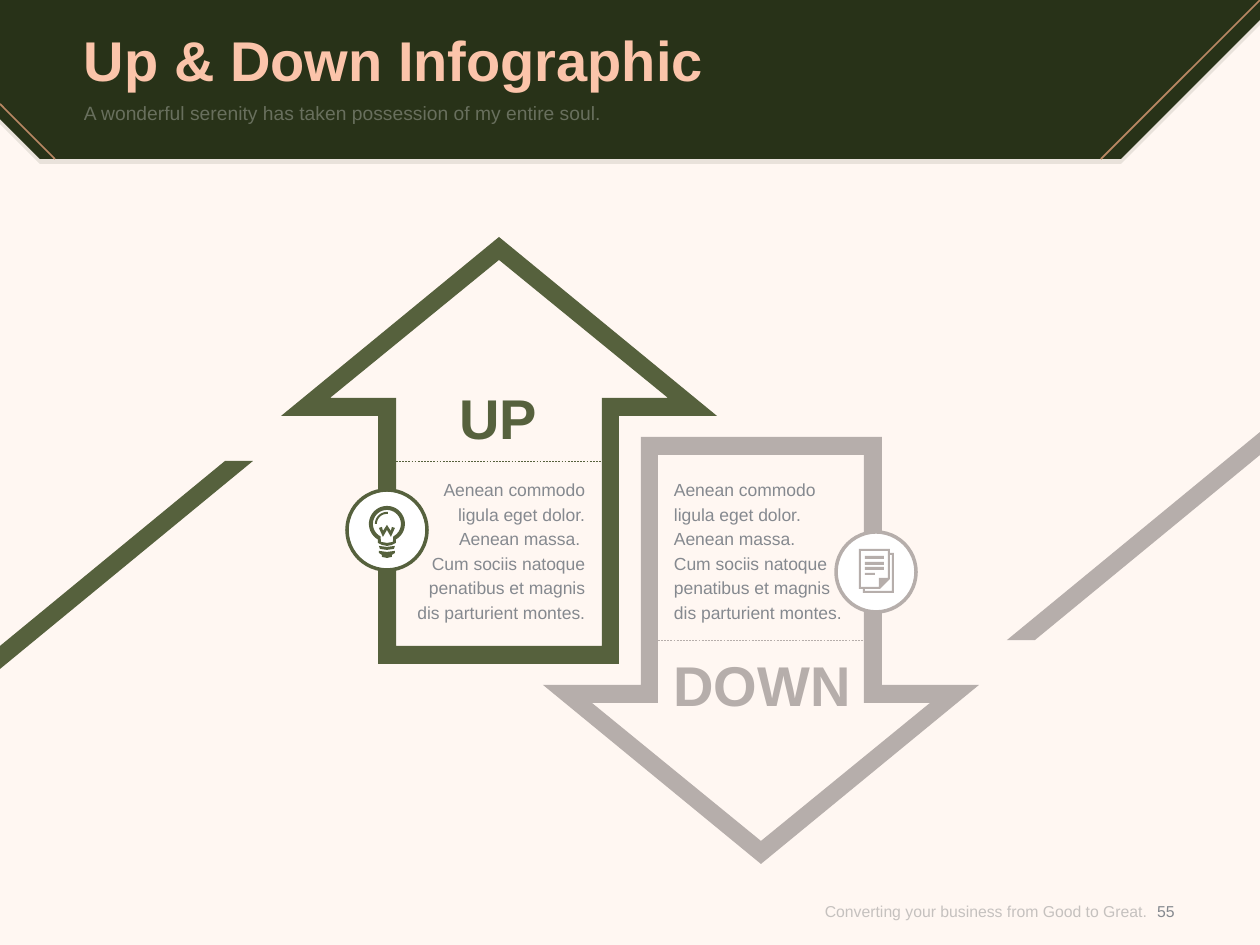
import math
from pptx import Presentation, util as u
from pptx.dml.color import RGBColor
from pptx.enum import dml, shapes, text
from pptx.oxml.ns import qn
from lxml import etree

PX = 914400 / 126
C = {"bg": "FFF7F2", "dark": "283218", "up": "56613D", "down": "B6AEAB",
     "peach": "FBC4AA", "copper": "B98763", "white": "FFFFFF",
     "body": "85898F", "footer": "8C8C8C"}
AL = text.PP_ALIGN


def arc(cx, cy, r, start, end, n=32):
    turns = [math.radians(start + (end - start) * i / n) for i in range(n + 1)]
    return [(cx + r * math.cos(a), cy + r * math.sin(a)) for a in turns]


def bar(x, y, w, h):
    return [(x, y), (x + w, y), (x + w, y + h), (x, y + h)]


HEADER = [(0, 0), (1260, 0), (1260, 20), (1121, 159), (40, 159), (0, 119)]
ARROW_W, ARROW_H = 436, 427
ARROW = [
    [(338, 427), (97, 427), (97, 179), (0, 179), (218, 0), (436, 179), (338, 179)],
    [(115, 409), (321, 409), (321, 161), (387, 161), (218, 23), (49, 161), (115, 161)],
]
TAIL_W, TAIL_H = 253, 208
TAIL = [[(253, 0), (0, 208), (0, 185), (225, 0)]]
BULB = [
    arc(18, 17, 18, 60, -240) + [(9, 36), (13, 38), (18, 39), (23, 38), (27, 36)],
    arc(18, 17, 14, 63, -243) + [(12, 35), (18, 36), (24, 35)],
    arc(18, 17, 12, 180, 275) + arc(18, 17, 10, 275, 180),
    [(22, 24), (18, 18), (14, 24), (13, 20), (10, 21), (14, 30),
     (18, 23), (22, 30), (26, 21), (23, 20)],
    [(10, 39), (18, 40), (26, 39), (25, 42), (18, 43), (11, 42)],
    [(10, 44), (18, 45), (26, 44), (26, 46), (23, 48), (23, 50),
     (18, 51), (13, 50), (13, 48), (10, 46)],
]
PAPERS = [
    [(31, 4), (31, 0), (0, 0), (0, 40), (4, 40), (4, 44), (35, 44), (35, 4)],
    [(2, 38), (2, 2), (29, 2), (29, 29), (20, 29), (20, 38)],
    [(33, 42), (6, 42), (6, 40), (21, 40), (31, 30), (31, 6), (33, 6)],
    *[bar(6, y, 19, 3) for y in (7, 13, 18)],
    bar(6, 24, 10, 2),
]


def px(*values):
    return [u.Emu(round(v * PX)) for v in values]


def paint(fill, colour, alpha=None):
    fill.solid()
    fill.fore_color.rgb = RGBColor.from_string(C[colour])
    if alpha:
        clr = fill._xPr.find(".//" + qn("a:srgbClr"))
        etree.SubElement(clr, qn("a:alpha"), val=str(alpha * 1000))


def outline(s, x, y, contours, colour, alpha=None):
    fb = None
    for pts in contours:
        pts = [px(x + a, y + b) for a, b in pts]
        if fb is None:
            fb = s.shapes.build_freeform(*pts[0], scale=1.0)
        else:
            fb.move_to(*pts[0])
        fb.add_line_segments(pts[1:], close=True)
    sp = fb.convert_to_shape()
    sp.shadow.inherit = False
    paint(sp.fill, colour, alpha)
    sp.line.fill.background()


def rule(s, x1, y1, x2, y2, colour, width, dash=None):
    ln = s.shapes.add_connector(shapes.MSO_CONNECTOR.STRAIGHT, *px(x1, y1, x2, y2))
    etree.SubElement(ln._element.spPr, qn("a:effectLst"))
    paint(ln.line.fill, colour)
    ln.line.width = u.Pt(width)
    if dash:
        ln.line.dash_style = dash


def write(sp, box, lines, size, colour, alpha=None, bold=False, align=AL.LEFT,
          anchor=text.MSO_ANCHOR.TOP, spacing=1.0):
    sp.left, sp.top, sp.width, sp.height = px(*box)
    tf = sp.text_frame
    frame = dict(word_wrap=True, auto_size=text.MSO_AUTO_SIZE.NONE, vertical_anchor=anchor,
                 margin_left=0, margin_top=0, margin_right=0, margin_bottom=0)
    for key, value in frame.items():
        setattr(tf, key, value)
    for i, line in enumerate(lines):
        p = tf.add_paragraph() if i else tf.paragraphs[0]
        pPr = p._p.get_or_add_pPr()
        pPr.set("marL", "0")
        pPr.set("indent", "0")
        etree.SubElement(pPr, qn("a:buNone"))
        for key, value in dict(alignment=align, line_spacing=spacing,
                               space_before=u.Pt(0)).items():
            setattr(p, key, value)
        r = p.add_run()
        r.text = line
        for key, value in dict(name="Arial", size=u.Pt(size), bold=bold).items():
            setattr(r.font, key, value)
        paint(r.font.fill, colour, alpha)


def label(s, box, lines, size, colour, **fmt):
    write(s.shapes.add_textbox(*px(*box)), box, lines, size, colour, **fmt)


def header(s, x, y):
    outline(s, x, y + 5, [HEADER], "dark", 10)
    outline(s, x, y, [HEADER], "dark")
    rule(s, x + 1260, y, x + 1101, y + 159, "copper", 1)
    rule(s, x, y + 104, x + 55, y + 159, "copper", 1)
    title, body = s.shapes.title, s.placeholders[1]
    for sp in (title, body):
        s.shapes._spTree.append(sp._element)
    write(title, (x + 84, y + 18, 1091, 82), ["Up & Down Infographic"], 32, "peach",
          bold=True, anchor=text.MSO_ANCHOR.MIDDLE)
    write(body, (x + 84, y + 101, 1091, 49),
          ["A wonderful serenity has taken possession of my entire soul."], 11, "white", alpha=30)


def turn(contours, w, h, flip):
    return [[(w - a, h - b) for a, b in pts] for pts in contours] if flip else contours


def arrow(s, x, y, flip, colour, tail, badge, icon, icon_at, word, word_box,
          lines, lines_box, align):
    outline(s, *tail, turn(TAIL, TAIL_W, TAIL_H, flip), colour)
    outline(s, x, y, turn(ARROW, ARROW_W, ARROW_H, flip), colour)
    mid = y + (ARROW_H - 224 if flip else 224)
    rule(s, x + 115, mid, x + 321, mid, colour, 0.25, dml.MSO_LINE.DASH)
    cx, cy = x + badge[0], y + badge[1]
    sp = s.shapes.add_shape(shapes.MSO_SHAPE.OVAL, *px(cx - 40, cy - 40, 80, 80))
    sp.shadow.inherit = False
    paint(sp.fill, "white")
    paint(sp.line.fill, colour)
    sp.line.width = u.Pt(2)
    outline(s, cx + icon_at[0], cy + icon_at[1], icon, colour)
    for (a, b, w, h), content, size, tint, fmt in (
            (lines_box, lines, 10, "body", dict(align=align, spacing=u.Pt(14))),
            (word_box, [word], 32, colour, dict(align=AL.CENTER, bold=True))):
        label(s, (x + a, y + b, w, h), content, size, tint, **fmt)


def footer(s, x, y):
    mid = text.MSO_ANCHOR.MIDDLE
    label(s, (x, y, 386, 68), ["Converting your business from Good to Great."], 9, "footer",
          alpha=50, align=AL.RIGHT, anchor=mid)
    label(s, (x + 375, y, 60, 68), ["55"], 9, "body", align=AL.CENTER, anchor=mid)


def main():
    prs = Presentation()
    prs.slide_width, prs.slide_height = px(1260, 945)
    s = prs.slides.add_slide(prs.slide_layouts[1])
    paint(s.background.fill, "bg")
    header(s, 0, 0)
    second = "Cum sociis natoque penatibus et magnis dis parturient montes."
    first = "Aenean commodo ligula eget dolor. Aenean massa."
    arrow(s, 281, 237, False, "up", (0, 461), (106, 293), BULB, (-18, -23),
          "UP", (130, 146, 174, 68), [first + " ", second], (130, 239, 174, 149), AL.RIGHT)
    arrow(s, 543, 437, True, "down", (1007, 432), (333, 135), PAPERS, (-17, -23),
          "DOWN", (122, 214, 194, 68), [first, second], (131, 39, 174, 149), AL.LEFT)
    footer(s, 761, 877)
    prs.save("out.pptx")


if __name__ == "__main__":
    main()
